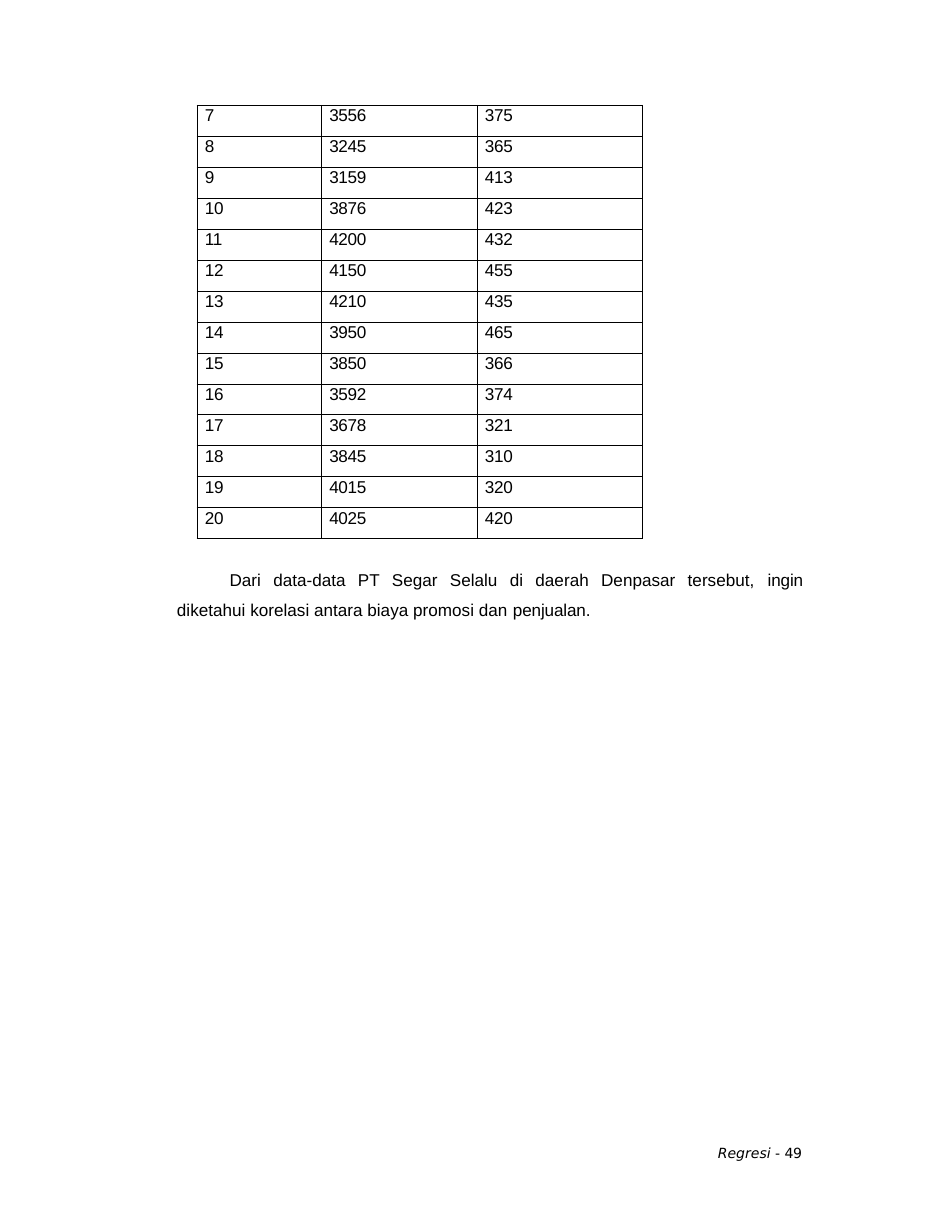
import pptx
import pptx.util
import pptx.dml.color
import pptx.enum.text
import pptx.oxml
import pptx.oxml.ns

BLACK = pptx.dml.color.RGBColor(0, 0, 0)
BODY = {"name": "Arial", "size": pptx.util.Pt(11)}
FOOTER = {"name": "DejaVu Sans", "size": pptx.util.Pt(9)}

# The page is a fine grid of square units
UNIT = pptx.util.Inches(0.01)
PAGE_COLUMNS, PAGE_ROWS = 850, 1100
TABLE_COLUMNS = (111, 139, 148)
TABLE_HEIGHT = 387
CELL_INDENT = 7

FIRST_MONTH = 7
SALES = (3556, 3245, 3159, 3876, 4200, 4150, 4210,
         3950, 3850, 3592, 3678, 3845, 4015, 4025)
PROMOTION = (375, 365, 413, 423, 432, 455, 435,
             465, 366, 374, 321, 310, 320, 420)


def grid(units):
    return pptx.util.Emu(round(units * UNIT))


def set_all(target, values):
    for name, value in values.items():
        setattr(target, name, value)


def add_span(para, text, font, tracking=0, italic=False):
    """Add a run; tracking is in hundredths of a point."""
    span = para.add_run()
    span.text = text
    set_all(span.font, {**font, "italic": italic})
    span.font.color.rgb = BLACK
    if tracking:
        span.font._element.set("spc", str(tracking))


def format_para(para, left, first, values):
    properties = para._p.get_or_add_pPr()
    properties.set("marL", str(grid(left)))
    properties.set("indent", str(grid(first)))
    set_all(para, values)


def add_text(page, place, margins, indents, values, spans):
    box = page.shapes.add_textbox(*map(grid, place))
    left, top, right, bottom = map(grid, margins)
    set_all(box.text_frame, {
        "margin_left": left, "margin_top": top,
        "margin_right": right, "margin_bottom": bottom,
        "word_wrap": True})
    para = box.text_frame.paragraphs[0]
    format_para(para, *indents, values)
    for span in spans:
        add_span(para, *span)


def add_borders(cell):
    properties = cell._tc.get_or_add_tcPr()
    for position, side in enumerate(("lnL", "lnR", "lnT", "lnB")):
        line = pptx.oxml.parse_xml(
            f'<a:{side} {pptx.oxml.ns.nsdecls("a")} w="{pptx.util.Pt(0.5)}">'
            f'<a:solidFill><a:srgbClr val="{BLACK}"/></a:solidFill></a:{side}>')
        properties.insert(position, line)


def fill_cell(cell, value):
    set_all(cell, dict.fromkeys(
        ("margin_left", "margin_top", "margin_right", "margin_bottom"), 0))
    cell.fill.background()
    add_borders(cell)
    para = cell.text_frame.paragraphs[0]
    format_para(para, CELL_INDENT, 0, {"line_spacing": pptx.util.Pt(12.9)})
    text = str(value)
    add_span(para, text, BODY, -20 if len(text) > 1 else 0)


def add_data_table(page, left, top):
    records = list(zip(range(FIRST_MONTH, FIRST_MONTH + len(SALES)),
                       SALES, PROMOTION))
    table = page.shapes.add_table(
        len(records), len(TABLE_COLUMNS), grid(left), grid(top),
        grid(sum(TABLE_COLUMNS)), grid(TABLE_HEIGHT)).table
    set_all(table, {"first_row": False, "horz_banding": False})
    for column, width in zip(table.columns, TABLE_COLUMNS):
        column.width = grid(width)
    for row, record in zip(table.rows, records):
        row.height = grid(TABLE_HEIGHT / len(records))
        for cell, value in zip(row.cells, record):
            fill_cell(cell, value)


def main():
    deck = pptx.Presentation()
    set_all(deck, {"slide_width": grid(PAGE_COLUMNS),
                   "slide_height": grid(PAGE_ROWS)})
    page = deck.slides.add_slide(deck.slide_layouts[6])

    # Page footer
    add_text(page, (563, 1020, 165, 20), (0, 2, 0, 0), (78, 0),
             {"space_before": pptx.util.Pt(1.4)},
             [("Regresi ", FOOTER, 0, True), ("- ", FOOTER),
              ("49", FOOTER, -20)])

    # Sales and promotion figures
    add_data_table(page, 176, 94)

    # Question about the figures
    add_text(page, (157, 499, 565, 57), (0, 1, 5, 0), (1, 47),
             {"line_spacing": 1.47, "space_before": pptx.util.Pt(0.9),
              "alignment": pptx.enum.text.PP_ALIGN.JUSTIFY},
             [("Dari data-data PT Segar Selalu di daerah Denpasar tersebut, ",
               BODY),
              ("ingin ", BODY, -10),
              ("diketahui korelasi antara biaya promosi dan ", BODY),
              ("penjualan.", BODY, -10)])

    deck.save("out.pptx")


main()
